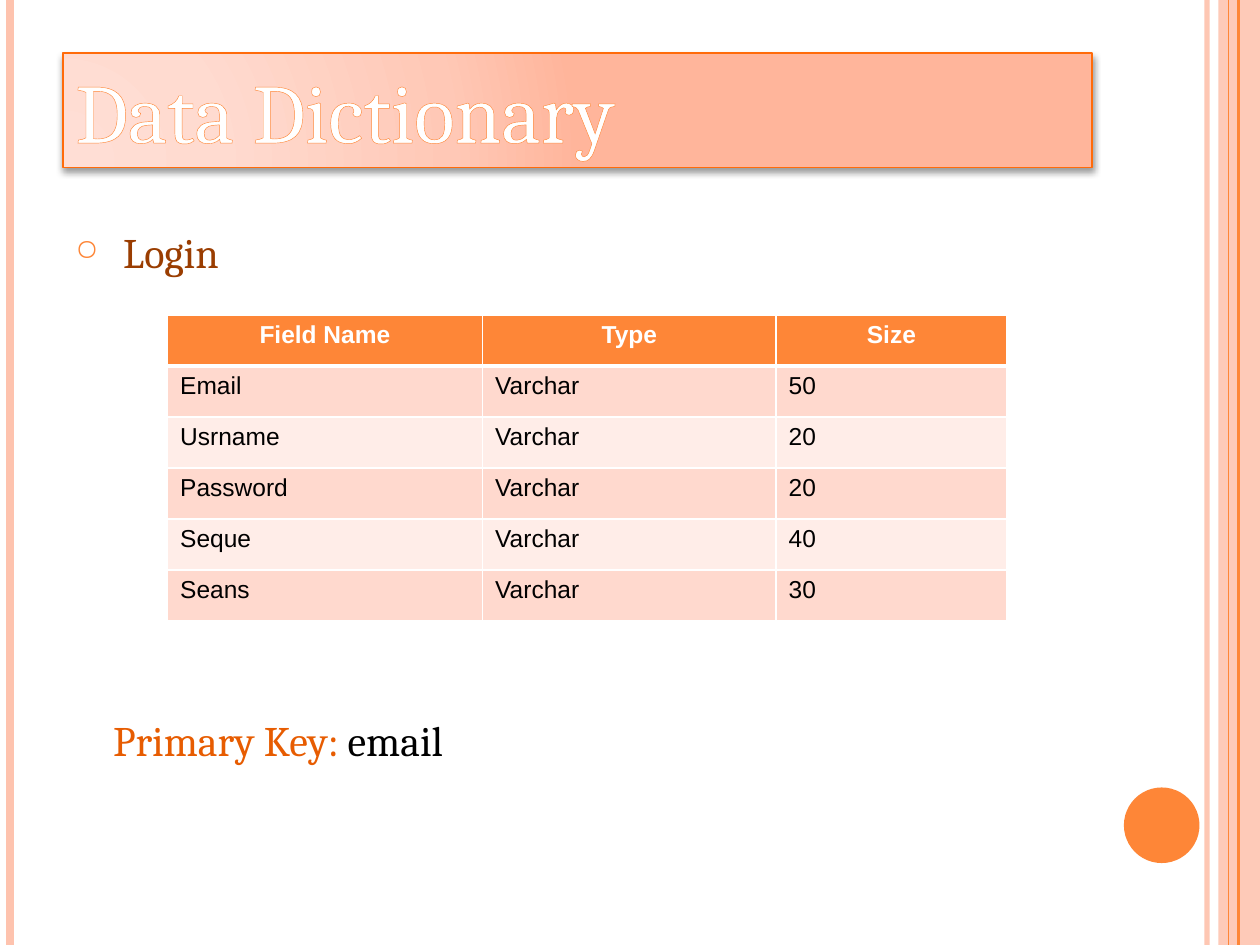
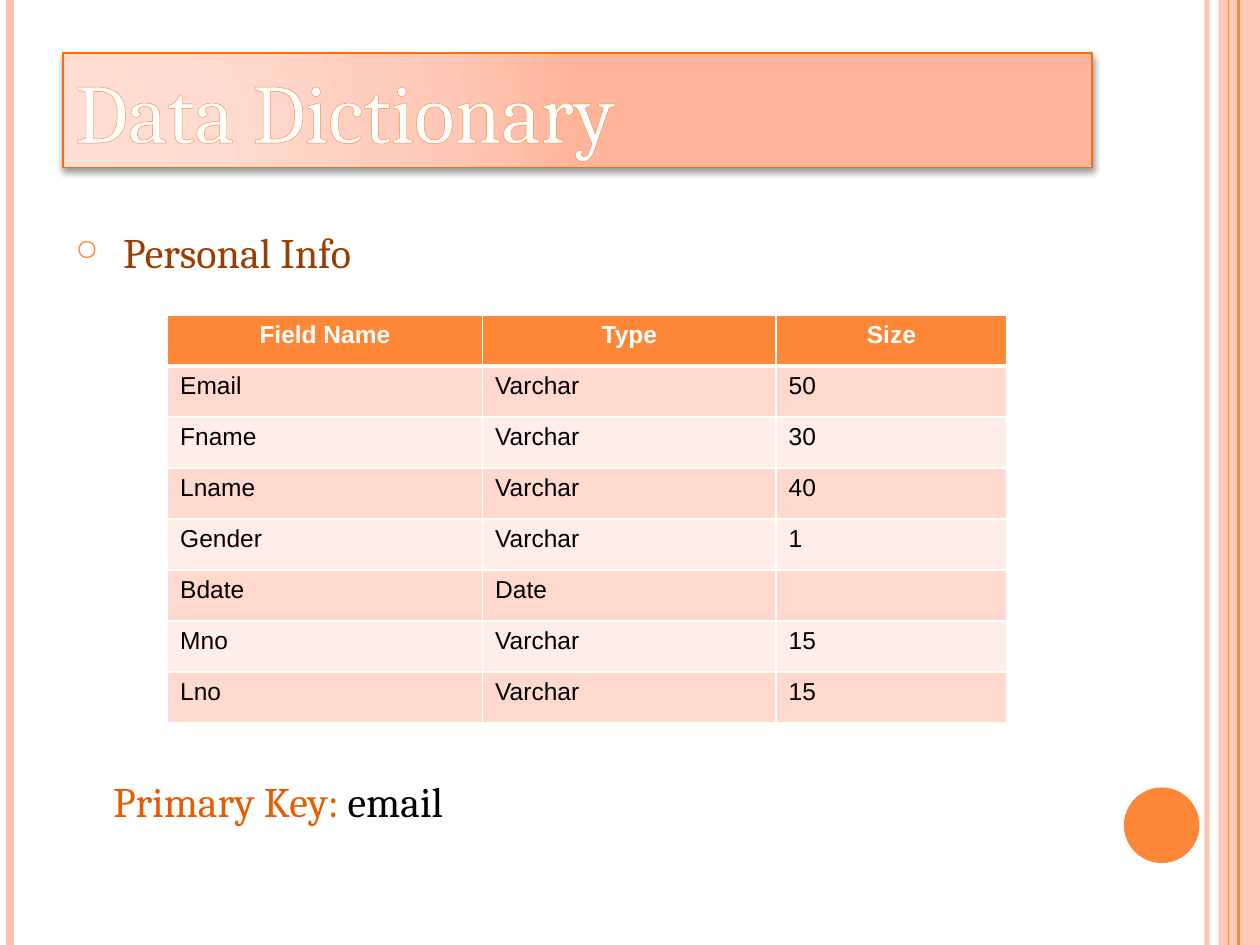
from lxml.etree import SubElement
from pptx import Presentation
from pptx.dml.color import RGBColor
from pptx.enum.shapes import MSO_CONNECTOR, MSO_SHAPE
from pptx.enum.text import MSO_ANCHOR, MSO_AUTO_SIZE, PP_ALIGN
from pptx.oxml import parse_xml
from pptx.oxml.ns import nsdecls, qn
from pptx.util import Inches, Pt

# Shared look
ORANGE, PEACH, WHITE, BLACK = "FE8637", "FEC3AE", "FFFFFF", "000000"
TITLE_EDGE, HEADING, KEY_LABEL = "FF6B0A", "9A3D01", "E75C01"
BAND_FILLS = ["FFD9CE", "FFEDE8"]
TITLE_STOPS = [(0, "FFDED5"), (30, "FFDBD0"), (75, "FFC8B6"), (100, "FFB59B")]
TITLE_FONT = {"name": "Cambria", "size": Pt(48)}
BODY_FONT = {"name": "Cambria", "size": Pt(24)}
CELL_FONT = {"name": "Arial", "size": Pt(14)}

# Edge lines: x, colour, width in points, opacity in percent
RIGHT_LINE = (9.58, PEACH, 3, 93)
LEFT_LINE = (0.08, PEACH, 4.5, 100)
STRIPE_LINES = [(9.83, ORANGE, 1.5, 100), (9.75, ORANGE, 0.75, 100)]

# Tables
COLUMNS = ["Field Name", "Type", "Size"]
COLUMN_WIDTHS = [2.5, 2.33, 1.83]
LOGIN = [("Email", "Varchar", "50"), ("Usrname", "Varchar", "20"),
         ("Password", "Varchar", "20"), ("Seque", "Varchar", "40"),
         ("Seans", "Varchar", "30")]
PERSONAL_INFO = [("Email", "Varchar", "50"), ("Fname", "Varchar", "30"),
                 ("Lname", "Varchar", "40"), ("Gender", "Varchar", "1"),
                 ("Bdate", "Date", ""), ("Mno", "Varchar", "15"),
                 ("Lno", "Varchar", "15")]


def rgb(color):
    return RGBColor.from_string(color)


def set_alpha(element, percent):
    clr = next(element.iter(qn("a:srgbClr")))
    SubElement(clr, qn("a:alpha"), val=str(percent * 1000))


def add_run(p, text, color, font):
    r = p.add_run()
    r.text = text
    for name, value in font.items():
        setattr(r.font, name, value)
    r.font.color.rgb = rgb(color)
    return r


def add_edge_line(s, x, color, width, alpha):
    line = s.shapes.add_connector(MSO_CONNECTOR.STRAIGHT, Inches(x), 0,
                                  Inches(x), Inches(7.5))
    line.line.color.rgb = rgb(color)
    line.line.width = Pt(width)
    spPr = line._element.spPr
    if alpha < 100:
        set_alpha(spPr, alpha)
    SubElement(spPr, qn("a:effectLst"))


def add_plain_shape(s, kind, box, color):
    sp = s.shapes.add_shape(kind, *map(Inches, box))
    sp.shadow.inherit = False
    sp.fill.solid()
    sp.fill.fore_color.rgb = rgb(color)
    sp.line.fill.background()
    return sp


def add_frame(s):
    add_edge_line(s, *RIGHT_LINE)
    add_edge_line(s, *LEFT_LINE)
    band = add_plain_shape(s, MSO_SHAPE.RECTANGLE, (9.67, 0, 0.33, 7.5), PEACH)
    set_alpha(band._element.spPr, 87)
    for stripe in STRIPE_LINES:
        add_edge_line(s, *stripe)
    add_plain_shape(s, MSO_SHAPE.OVAL, (8.92, 6.25, 0.6, 0.6), ORANGE)


def add_title(s, text):
    sp = add_plain_shape(s, MSO_SHAPE.RECTANGLE, (0.5, 0.42, 8.17, 0.91), PEACH)
    sp.line.color.rgb = rgb(TITLE_EDGE)
    sp.line.width = Pt(1)
    # Radial gradient and soft shadow
    spPr = sp._element.spPr
    stops = "".join(f'<a:gs pos="{pos * 1000}"><a:srgbClr val="{color}"/></a:gs>'
                    for pos, color in TITLE_STOPS)
    spPr.replace(spPr.find(qn("a:solidFill")), parse_xml(
        f'<a:gradFill {nsdecls("a")} rotWithShape="1"><a:gsLst>{stops}</a:gsLst>'
        '<a:path path="circle"><a:fillToRect l="5000" t="100000" r="120000"'
        ' b="10000"/></a:path></a:gradFill>'))
    spPr.find(qn("a:effectLst")).append(parse_xml(
        f'<a:outerShdw {nsdecls("a")} blurRad="{Pt(4)}" dist="{Pt(2)}"'
        ' dir="5400000" rotWithShape="0"><a:srgbClr val="000000">'
        '<a:alpha val="40000"/></a:srgbClr></a:outerShdw>'))
    # Outlined text
    tf = sp.text_frame
    tf.word_wrap = True
    tf.auto_size = MSO_AUTO_SIZE.SHAPE_TO_FIT_TEXT
    tf.vertical_anchor = MSO_ANCHOR.TOP
    p = tf.paragraphs[0]
    p.alignment = PP_ALIGN.LEFT
    r = add_run(p, text, WHITE, TITLE_FONT)
    r.font._element.insert(0, parse_xml(
        f'<a:ln {nsdecls("a")} w="{Pt(0.8)}"><a:solidFill>'
        f'<a:srgbClr val="{ORANGE}"/></a:solidFill></a:ln>'))


def add_body(s, heading, key, key_gap):
    box = s.shapes.add_textbox(*map(Inches, (0.5, 1.75, 8.17, 5.33)))
    tf = box.text_frame
    tf.word_wrap = True
    # Bulleted heading
    p = tf.paragraphs[0]
    p.space_before = Pt(6)
    pPr = p._p.get_or_add_pPr()
    pPr.set("marL", str(Inches(0.38)))
    pPr.set("indent", str(-Inches(0.38)))
    bullet_color = SubElement(pPr, qn("a:buClr"))
    SubElement(bullet_color, qn("a:srgbClr"), val=ORANGE)
    SubElement(pPr, qn("a:buSzPct"), val="70000")
    SubElement(pPr, qn("a:buChar"), char="○")
    add_run(p, heading, HEADING, BODY_FONT)
    # Primary key below the table
    p = tf.add_paragraph()
    p.space_before = Pt(key_gap)
    p._p.get_or_add_pPr().set("marL", str(Inches(0.3)))
    add_run(p, "Primary Key: ", KEY_LABEL, BODY_FONT)
    add_run(p, key, BLACK, BODY_FONT)


def set_borders(cell, top, bottom):
    tcPr = cell._tc.get_or_add_tcPr()
    widths = {"lnL": 1, "lnR": 1, "lnT": top, "lnB": bottom}
    for i, (side, width) in enumerate(widths.items()):
        tcPr.insert(i, parse_xml(
            f'<a:{side} {nsdecls("a")} w="{Pt(width)}"><a:solidFill>'
            f'<a:srgbClr val="{WHITE}"/></a:solidFill></a:{side}>'))


def add_field_table(s, fields):
    rows = [COLUMNS, *fields]
    height = len(rows) * 0.81 / 2
    table = s.shapes.add_table(len(rows), len(COLUMNS), Inches(1.33), Inches(2.5),
                               Inches(6.67), Inches(height)).table
    table.horz_banding = False
    for column, width in zip(table.columns, COLUMN_WIDTHS):
        column.width = Inches(width)
    for i, row in enumerate(rows):
        header = i == 0
        for j, text in enumerate(row):
            cell = table.cell(i, j)
            cell.fill.solid()
            cell.fill.fore_color.rgb = rgb(ORANGE if header else BAND_FILLS[(i - 1) % 2])
            set_borders(cell, top=3 if i == 1 else 1, bottom=3 if header else 1)
            p = cell.text_frame.paragraphs[0]
            p.alignment = PP_ALIGN.CENTER if header else PP_ALIGN.LEFT
            if text:
                add_run(p, text, WHITE if header else BLACK,
                        {**CELL_FONT, "bold": header})


def add_dictionary_slide(prs, heading, fields, key, key_gap):
    s = prs.slides.add_slide(prs.slide_layouts[6])
    add_frame(s)
    add_title(s, "Data Dictionary")
    add_body(s, heading, key, key_gap)
    add_field_table(s, fields)


def main():
    prs = Presentation()
    prs.slide_width, prs.slide_height = Inches(10), Inches(7.5)
    add_dictionary_slide(prs, "Login", LOGIN, "email", key_gap=250)
    add_dictionary_slide(prs, "Personal Info", PERSONAL_INFO, "email", key_gap=285)
    prs.save("out.pptx")


if __name__ == "__main__":
    main()
